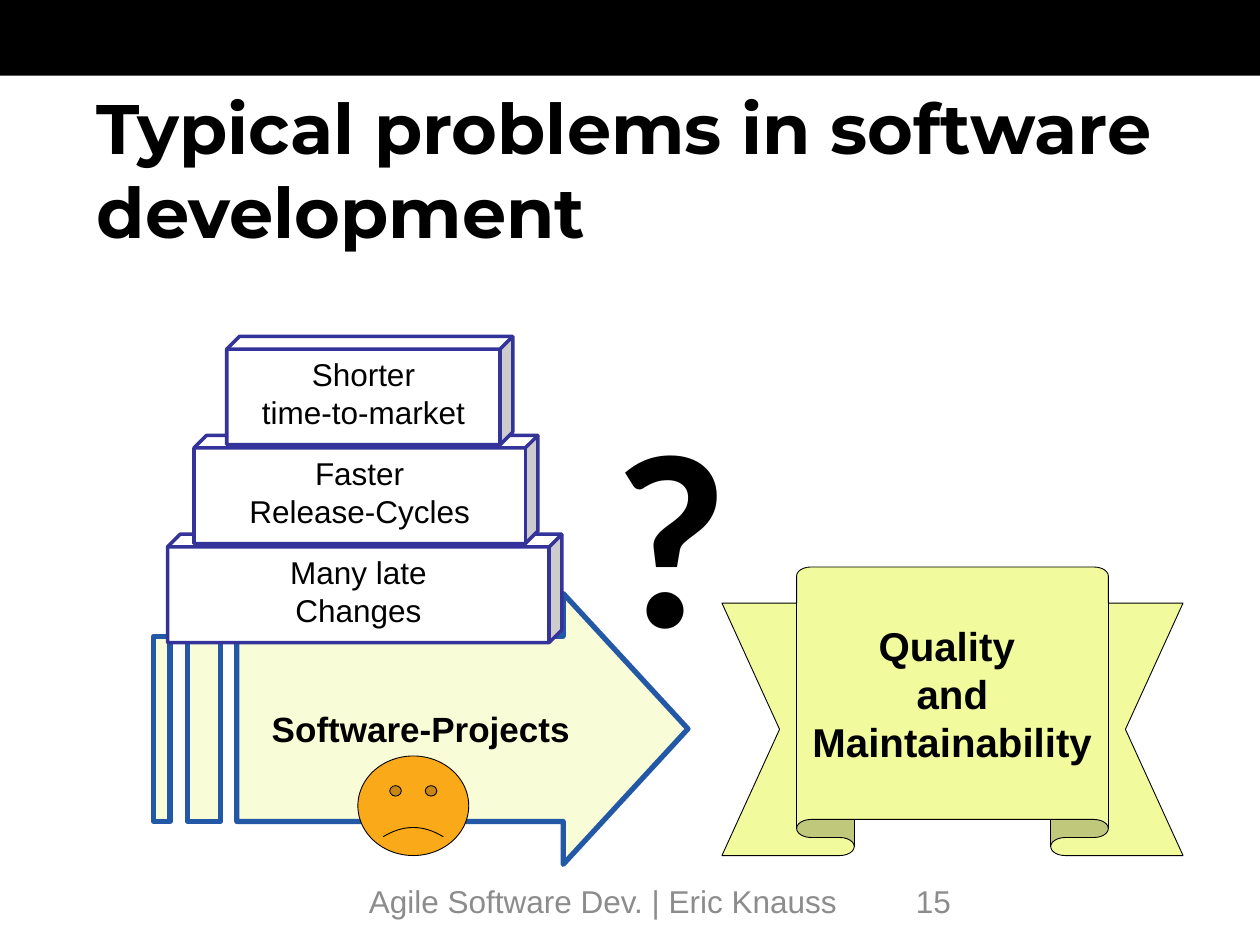
import pptx
import pptx.util
import pptx.dml.color
import pptx.enum.shapes
import pptx.enum.text

SHAPE = pptx.enum.shapes.MSO_SHAPE
ANCHOR = pptx.enum.text.MSO_ANCHOR
ALIGN = pptx.enum.text.PP_ALIGN

# The slide is a grid of 100 columns by 75 rows of square cells.
COLUMNS, ROWS, CELL = 100, 75, pptx.util.Inches(0.1)

THEME = {
    "black": "000000", "white": "FFFFFF", "grey": "8C8C8C",
    "cube_line": "333399", "arrow_fill": "F9FDD7", "arrow_line": "2358A7",
    "ribbon": "F1FA9C", "face": "FAA918",
    "title_font": "Montserrat", "body_font": "Arial", "mark_font": "Calibri",
    "title": 40, "mark": 142, "goal": 23, "project": 20, "body": 18,
}

TITLE = "Typical problems in software development"
PROJECTS = "Software-Projects"
GOAL = "Quality \nand\nMaintainability"
FOOTER = [("Agile Software Dev. | Eric Knauss", 28.3, 43.3), ("15", 71.7, 23.3)]

# Pressures from the bottom of the pile up: text, left, width
PRESSURES = [
    ("Many late\vChanges", 13.3, 31.3),
    ("Faster\nRelease-Cycles", 15.4, 27.3),
    ("Shorter\ntime-to-market", 18, 22.7),
]
PILE_TOP, PILE_STEP, CUBE_HEIGHT = 42.4, 7.85, 8.6

# Arrow: shaft between two rows, with two stripes trailing behind it
SHAFT_TOP, SHAFT_BOTTOM = 50.5, 65.2
HEAD_TOP, HEAD_BOTTOM, HEAD_LEFT, TIP = 47.1, 68.6, 44.7, 54.6
SHAFT_LEFT = 18.8
STRIPES = [(14.9, 17.5), (12.2, 13.5)]


def cells(*counts):
    return [round(count * CELL) for count in counts]


def color(name):
    return pptx.dml.color.RGBColor.from_string(THEME[name])


def paint(shape, fill, line=None, weight=0.5):
    shape.shadow.inherit = False
    shape.fill.solid()
    shape.fill.fore_color.rgb = color(fill)
    if line:
        shape.line.color.rgb = color(line)
        shape.line.width = pptx.util.Pt(weight)
    else:
        shape.line.fill.background()


def write(shape, text, size, font="body_font", ink="black", bold=False,
          align=ALIGN.CENTER, anchor=ANCHOR.MIDDLE, wrap=True, tight=False):
    frame = shape.text_frame
    frame.word_wrap = wrap
    frame.vertical_anchor = anchor
    if tight:
        frame.margin_left, frame.margin_right = cells(0.8, 0.8)
        frame.margin_top, frame.margin_bottom = cells(0.4, 0.4)
    frame.text = text
    for paragraph in frame.paragraphs:
        paragraph.alignment = align
        for run in paragraph.runs:
            run.font.name = THEME[font]
            run.font.size = pptx.util.Pt(THEME[size])
            run.font.bold = bold
            run.font.color.rgb = color(ink)


def add_arrow(shapes):
    head = [(HEAD_LEFT, HEAD_TOP), (HEAD_LEFT, SHAFT_TOP),
            (SHAFT_LEFT, SHAFT_TOP), (SHAFT_LEFT, SHAFT_BOTTOM),
            (HEAD_LEFT, SHAFT_BOTTOM), (HEAD_LEFT, HEAD_BOTTOM),
            (TIP, (HEAD_TOP + HEAD_BOTTOM) / 2)]
    stripes = [[(left, SHAFT_TOP), (left, SHAFT_BOTTOM),
                (right, SHAFT_BOTTOM), (right, SHAFT_TOP)]
               for left, right in STRIPES]
    builder = shapes.build_freeform(*cells(*head[0]))
    builder.add_line_segments([cells(*point) for point in head[1:]])
    for stripe in stripes:
        builder.move_to(*cells(*stripe[0]))
        builder.add_line_segments([cells(*point) for point in stripe[1:]])
    return builder.convert_to_shape()


def main():
    presentation = pptx.Presentation()
    presentation.slide_width, presentation.slide_height = cells(COLUMNS, ROWS)
    slide = presentation.slides.add_slide(presentation.slide_layouts[6])
    shapes = slide.shapes

    band = shapes.add_shape(SHAPE.RECTANGLE, *cells(0, 0, COLUMNS, 6))
    paint(band, "black")
    title = shapes.add_textbox(*cells(6.7, 9.2, 93.3, 8.3))
    write(title, TITLE, "title", "title_font", bold=True, align=ALIGN.LEFT)

    arrow = add_arrow(shapes)
    paint(arrow, "arrow_fill", "arrow_line", 3)
    write(arrow, PROJECTS, "project", bold=True, wrap=False, tight=True)

    ribbon = shapes.add_shape(SHAPE.UP_RIBBON, *cells(57.3, 45, 36.6, 22.9))
    ribbon.adjustments[0], ribbon.adjustments[1] = 0.125, 0.676
    paint(ribbon, "ribbon", "black")
    write(ribbon, GOAL, "goal", bold=True, wrap=False, tight=True)

    mark = shapes.add_textbox(*cells(47.9, 29.6, 13.8, 24.7))
    write(mark, "?", "mark", "mark_font", bold=True, align=ALIGN.LEFT, tight=True)

    face = shapes.add_shape(SHAPE.SMILEY_FACE, *cells(28.4, 60, 8.8, 7.9))
    face.adjustments[0] = -0.047
    paint(face, "face", "black")

    for level, (text, left, width) in enumerate(PRESSURES):
        top = PILE_TOP - level * PILE_STEP
        cube = shapes.add_shape(SHAPE.CUBE, *cells(left, top, width, CUBE_HEIGHT))
        cube.adjustments[0] = 0.117
        paint(cube, "white", "cube_line", 2)
        write(cube, text, "body", anchor=ANCHOR.TOP)

    for text, left, width in FOOTER:
        box = shapes.add_textbox(*cells(left, 69.5, width, 4))
        write(box, text, "body", ink="grey", align=ALIGN.LEFT, anchor=ANCHOR.TOP)

    presentation.save("out.pptx")


if __name__ == "__main__":
    main()
